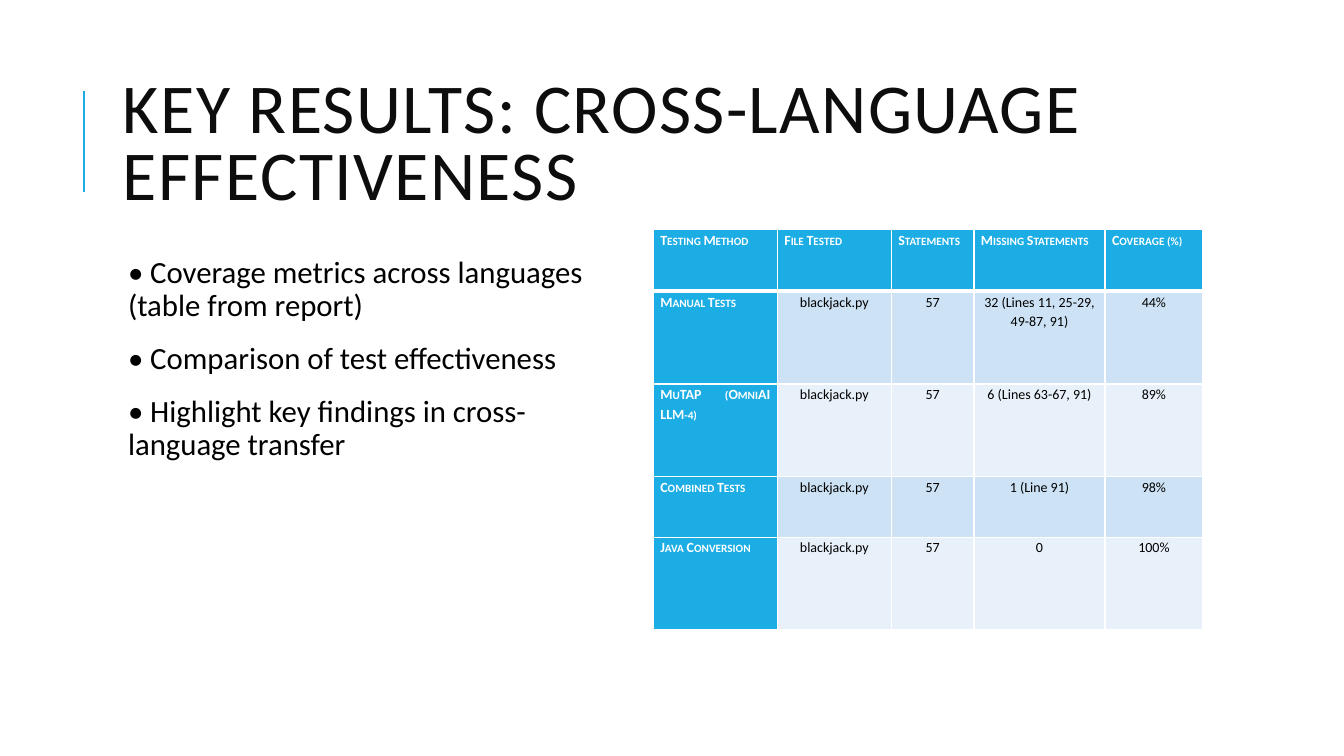
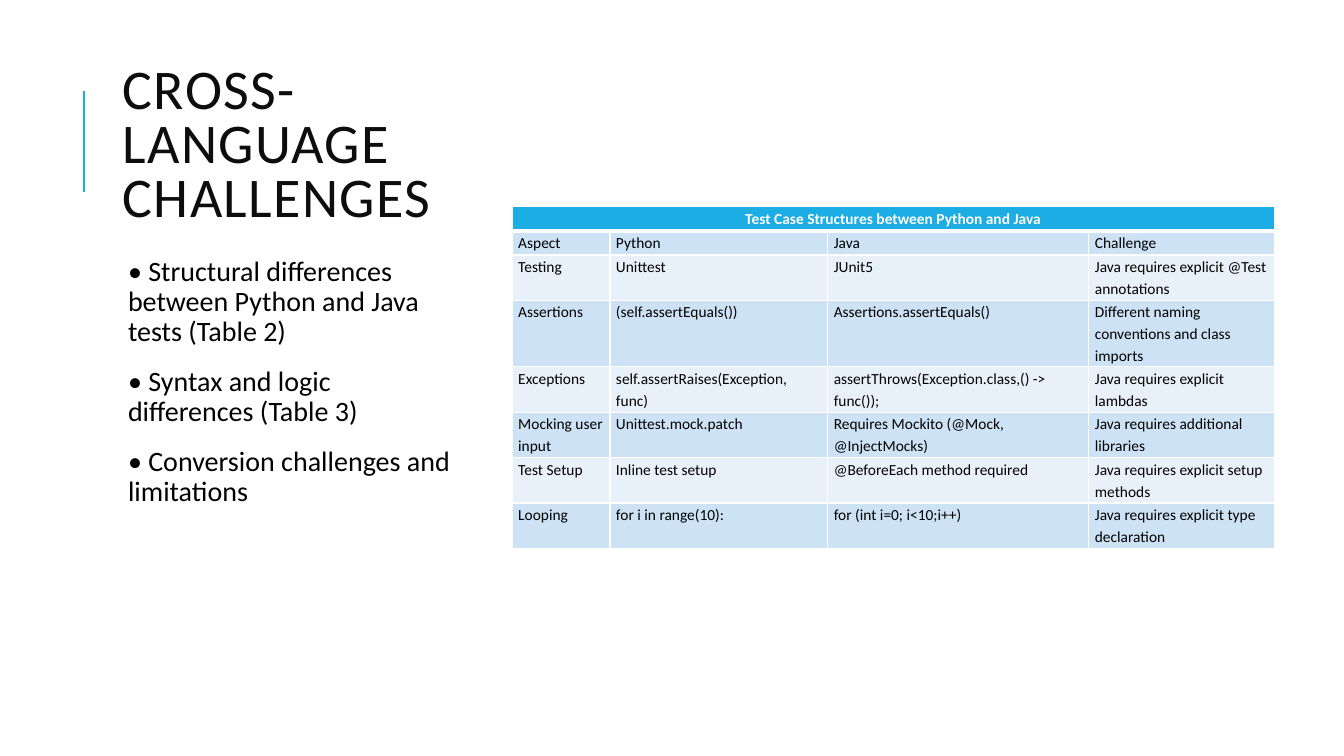
import pptx
import pptx.util
import pptx.dml.color
import pptx.enum.shapes
import pptx.enum.text
import pptx.oxml
import pptx.oxml.ns

Inches = pptx.util.Inches
Pt = pptx.util.Pt
RGBColor = pptx.dml.color.RGBColor
ALIGN = pptx.enum.text.PP_ALIGN
ANCHOR = pptx.enum.text.MSO_ANCHOR

FONT = "Calibri"
ACCENT = RGBColor(0x1C, 0xAD, 0xE4)
TITLE_INK = RGBColor(0x0D, 0x0D, 0x0D)
BLACK = RGBColor(0x00, 0x00, 0x00)
WHITE = RGBColor(0xFF, 0xFF, 0xFF)
BANDS = [RGBColor(0xE8, 0xF1, 0xFA), RGBColor(0xCD, 0xE3, 0xF5)]

SLIDES = [
    {
        "title": "KEY RESULTS: CROSS-LANGUAGE EFFECTIVENESS",
        "title_width": 10.63,
        "title_size": 50,
        "points": [
            "• Coverage metrics across languages (table from report)",
            "• Comparison of test effectiveness",
            "• Highlight key findings in cross-language transfer",
        ],
        "body_width": 5.2,
        "body_size": 22,
        "table_at": (6.48, 2.28),
        "columns": [1.23, 1.13, 0.82, 1.3, 0.97],
        "heights": [0.61, 0.92, 0.92, 0.6, 0.92],
        "rows": [
            ["Testing Method", "File Tested", "Statements", "Missing Statements", "Coverage (%)"],
            ["Manual Tests", "blackjack.py", "57", "32 (Lines 11, 25-29, 49-87, 91)", "44%"],
            ["MuTAP (OmniAI LLM-4)", "blackjack.py", "57", "6 (Lines 63-67, 91)", "89%"],
            ["Combined Tests", "blackjack.py", "57", "1 (Line 91)", "98%"],
            ["Java Conversion", "blackjack.py", "57", "0", "100%"],
        ],
        "cell_size": 10,
        "cell_margin": 0.07,
        "label_column": True,
        "small_caps": True,
        "head_align": ALIGN.JUSTIFY,
        "cell_align": ALIGN.CENTER,
    },
    {
        "title": "CROSS-LANGUAGE CHALLENGES",
        "title_width": 3.43,
        "title_size": 40,
        "points": [
            "• Structural differences between Python and Java tests (Table 2)",
            "• Syntax and logic differences (Table 3)",
            "• Conversion challenges and limitations",
        ],
        "body_width": 3.43,
        "body_size": 20,
        "table_at": (5.08, 2.05),
        "columns": [0.97, 2.16, 2.59, 1.84],
        "heights": [0.24, 0.24, 0.45, 0.66, 0.45, 0.45, 0.45, 0.45],
        "rows": [
            ["Test Case Structures between Python and Java"],
            ["Aspect", "Python", "Java", "Challenge"],
            ["Testing", "Unittest", "JUnit5", "Java requires explicit @Test annotations"],
            ["Assertions", "(self.assertEquals())", "Assertions.assertEquals()",
             "Different naming conventions and class imports"],
            ["Exceptions", "self.assertRaises(Exception, func)",
             "assertThrows(Exception.class,() -> func());", "Java requires explicit lambdas"],
            ["Mocking user input", "Unittest.mock.patch",
             "Requires Mockito (@Mock, @InjectMocks)", "Java requires additional libraries"],
            ["Test Setup", "Inline test setup", "@BeforeEach method required",
             "Java requires explicit setup methods"],
            ["Looping", "for i in range(10):", "for (int i=0; i<10;i++)",
             "Java requires explicit type declaration"],
        ],
        "cell_size": 11,
        "cell_margin": 0.06,
        "label_column": False,
        "small_caps": False,
        "head_align": ALIGN.CENTER,
        "cell_align": ALIGN.LEFT,
    },
]


def add_span(para, text, size, color, bold=False):
    span = para.add_run()
    span.text = text
    span.font.name = FONT
    span.font.size = Pt(size)
    span.font.color.rgb = color
    span.font.bold = bold
    return span


def set_borders(cell, top, bottom):
    properties = cell._tc.get_or_add_tcPr()
    widths = {"lnL": 1, "lnR": 1, "lnT": top, "lnB": bottom}
    for position, (side, width) in enumerate(widths.items()):
        border = pptx.oxml.parse_xml(
            f'<a:{side} {pptx.oxml.ns.nsdecls("a")} w="{Pt(width)}">'
            f'<a:solidFill><a:srgbClr val="{WHITE}"/></a:solidFill></a:{side}>'
        )
        properties.insert(position, border)


deck = pptx.Presentation()
deck.slide_width = Inches(13.33)
deck.slide_height = Inches(7.5)

for content in SLIDES:
    page = deck.slides.add_slide(deck.slide_layouts[6])

    rule = page.shapes.add_connector(
        pptx.enum.shapes.MSO_CONNECTOR.STRAIGHT,
        Inches(0.83), Inches(1.9), Inches(0.83), Inches(0.9),
    )
    rule.line.color.rgb = ACCENT
    rule.line.width = Pt(1.5)
    rule._element.spPr.append(
        pptx.oxml.parse_xml(f'<a:effectLst {pptx.oxml.ns.nsdecls("a")}/>')
    )

    title_box = page.shapes.add_textbox(
        Inches(1.12), Inches(0.64), Inches(content["title_width"]), Inches(1.64)
    )
    title_box.text_frame.word_wrap = True
    title_box.text_frame.vertical_anchor = ANCHOR.MIDDLE
    para = title_box.text_frame.paragraphs[0]
    para.line_spacing = 0.8
    span = add_span(para, content["title"], content["title_size"], TITLE_INK)
    span.font._element.set("spc", "100")

    body_box = page.shapes.add_textbox(
        Inches(1.12), Inches(2.5), Inches(content["body_width"]), Inches(4.3)
    )
    frame = body_box.text_frame
    frame.word_wrap = True
    frame.margin_left = Inches(0.15)
    frame.margin_right = frame.margin_top = frame.margin_bottom = Inches(0.05)
    for index, point in enumerate(content["points"]):
        para = frame.add_paragraph() if index else frame.paragraphs[0]
        para.line_spacing = 0.9
        para.space_before = Pt(12)
        para.space_after = Pt(2)
        add_span(para, point, content["body_size"], BLACK)

    left, top = content["table_at"]
    columns, heights, rows = content["columns"], content["heights"], content["rows"]
    table = page.shapes.add_table(
        len(rows), len(columns), Inches(left), Inches(top),
        Inches(sum(columns)), Inches(sum(heights)),
    ).table
    for column, width in zip(table.columns, columns):
        column.width = Inches(width)
    for row, height in zip(table.rows, heights):
        row.height = Inches(height)
    if len(rows[0]) == 1:
        table.cell(0, 0).merge(table.cell(0, len(columns) - 1))

    for row_index, texts in enumerate(rows):
        for column_index in range(len(columns)):
            cell = table.cell(row_index, column_index)
            is_head = row_index == 0 or (content["label_column"] and column_index == 0)
            cell.margin_left = cell.margin_right = Inches(content["cell_margin"])
            cell.margin_top = cell.margin_bottom = 0
            cell.fill.solid()
            cell.fill.fore_color.rgb = ACCENT if is_head else BANDS[row_index % 2]
            set_borders(cell, 3 if row_index == 1 else 1, 3 if row_index == 0 else 1)
            if cell.is_spanned:
                continue
            para = cell.text_frame.paragraphs[0]
            para.alignment = content["head_align"] if is_head else content["cell_align"]
            para.line_spacing = 1.15
            para.space_after = Pt(8)
            span = add_span(para, texts[column_index], content["cell_size"],
                            WHITE if is_head else BLACK, is_head)
            if is_head and content["small_caps"]:
                span.font._element.set("cap", "small")

deck.save("out.pptx")
